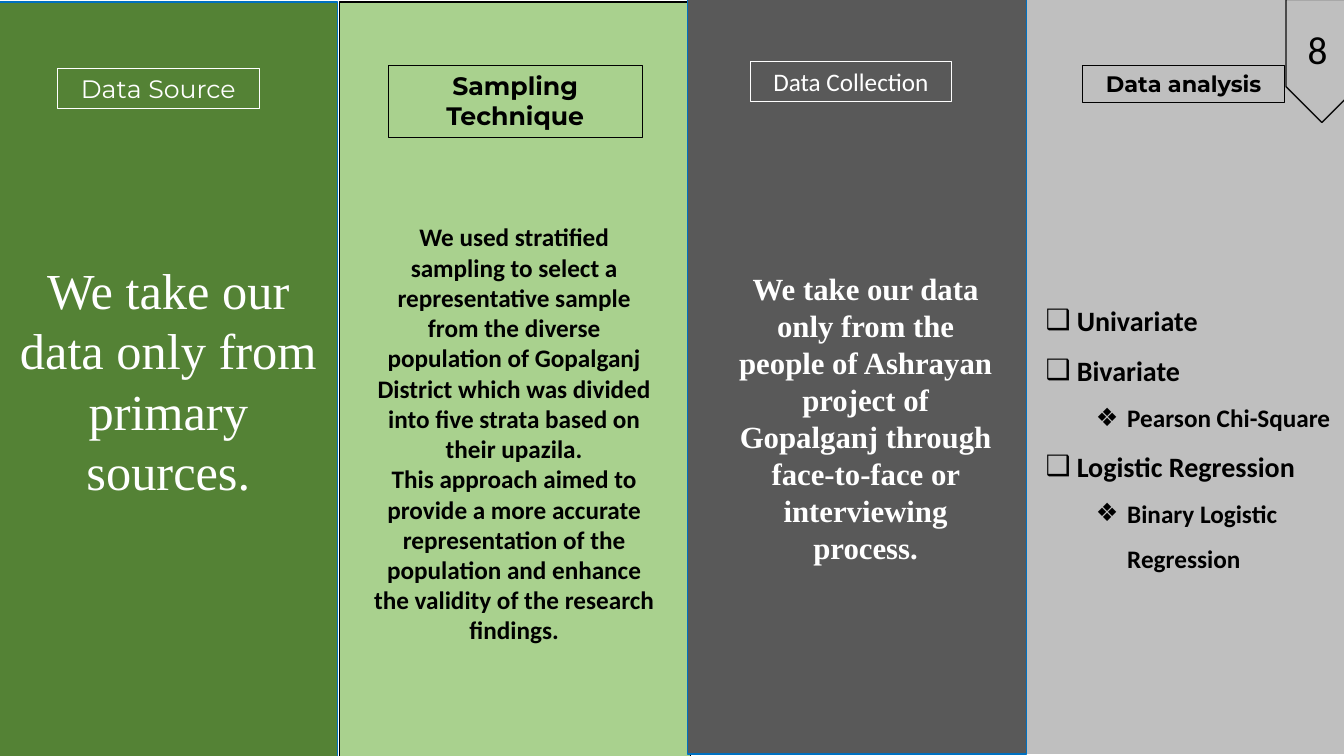
from dataclasses import dataclass

from lxml import etree
from pptx import Presentation
from pptx.dml.color import RGBColor
from pptx.enum import shapes, text
from pptx.oxml.ns import qn
from pptx.util import Inches, Pt


@dataclass(frozen=True)
class Theme:
    dark_green: str = "548235"
    light_green: str = "A9D18E"
    dark_grey: str = "595959"
    light_grey: str = "BFBFBF"
    blue: str = "0070C0"
    white: str = "FFFFFF"
    black: str = "000000"
    badge_line: str = "0D0D0D"
    sans: str = "Calibri"
    display: str = "Montserrat"
    serif: str = "Times New Roman"
    small: int = 16
    normal: int = 18
    list_item: int = 20
    quote: int = 22
    number: int = 28
    statement: int = 36


THEME = Theme()


def write(shape, paragraphs, size=THEME.normal, font=THEME.sans, color=THEME.black,
          bold=False, align=text.PP_ALIGN.CENTER, anchor=text.MSO_ANCHOR.TOP,
          auto_size=text.MSO_AUTO_SIZE.NONE, wrap=True):
    """Fill a shape with paragraphs that share one format."""
    frame = shape.text_frame
    frame.text = "\n".join(paragraphs)
    frame.word_wrap = wrap
    frame.auto_size = auto_size
    frame.vertical_anchor = anchor
    for paragraph in frame.paragraphs:
        paragraph.alignment = align
        font_format = paragraph.runs[0].font
        font_format.name = font
        font_format.size = Pt(size)
        font_format.bold = bold
        font_format.color.rgb = RGBColor.from_string(color)


def add_box(slide, box, fill=None, line=None, line_width=1, kind=shapes.MSO_SHAPE.RECTANGLE):
    shape = slide.shapes.add_shape(kind, *map(Inches, box))
    shape.shadow.inherit = False
    if fill:
        shape.fill.solid()
        shape.fill.fore_color.rgb = RGBColor.from_string(fill)
    else:
        shape.fill.background()
    if line:
        shape.line.color.rgb = RGBColor.from_string(line)
        shape.line.width = Pt(line_width)
    else:
        shape.line.fill.background()
    return shape


def add_heading(slide, box, label, fill, color, **text_format):
    heading = add_box(slide, box, fill, color, line_width=0.75)
    write(heading, [label], color=color,
          auto_size=text.MSO_AUTO_SIZE.SHAPE_TO_FIT_TEXT, **text_format)


def add_text(slide, box, paragraphs, **text_format):
    write(slide.shapes.add_textbox(*map(Inches, box)), paragraphs, **text_format)


def set_bullet(paragraph, character, left, hanging):
    properties = paragraph._p.get_or_add_pPr()
    properties.set("marL", str(Inches(left)))
    properties.set("indent", str(-Inches(hanging)))
    etree.SubElement(properties, qn("a:buChar")).set("char", character)


def fill_method_list(placeholder, box, items):
    """Place the body list in front of the panels and format its two levels."""
    placeholder._element.getparent().append(placeholder._element)
    placeholder.left, placeholder.top, placeholder.width, placeholder.height = map(Inches, box)
    write(placeholder, [label for _, label in items], bold=True, align=text.PP_ALIGN.LEFT)
    for paragraph, (level, _) in zip(placeholder.text_frame.paragraphs, items):
        paragraph.level = level
        paragraph.line_spacing = 1.5
        paragraph.space_before = Pt(0)
        paragraph.runs[0].font.size = Pt(THEME.normal if level else THEME.list_item)
        set_bullet(paragraph, "❖" if level else "❑", 0.31 + 0.5 * level, 0.31)


def add_page_badge(slide, number):
    badge = add_box(slide, (12.5, 0.25, 1.22, 0.71), line=THEME.badge_line,
                    kind=shapes.MSO_SHAPE.PENTAGON)
    badge.rotation = 90
    add_text(slide, (12.87, 0.2, 0.47, 0.57), [number], size=THEME.number,
             align=text.PP_ALIGN.LEFT)


def main():
    presentation = Presentation()
    presentation.slide_width, presentation.slide_height = Inches(13.33), Inches(7.5)
    slide = presentation.slides.add_slide(presentation.slide_layouts[1])
    title, method_list = slide.placeholders
    title._element.getparent().remove(title._element)

    # Data analysis
    add_box(slide, (10.18, -0.02, 3.15, 7.5), THEME.light_grey)
    add_heading(slide, (10.74, 0.65, 2, 0.37), "Data analysis", THEME.light_grey, THEME.black,
                size=THEME.small, font=THEME.display, bold=True)

    # Sampling technique
    add_box(slide, (3.37, 0.02, 3.48, 7.5), THEME.light_green, THEME.black)
    add_heading(slide, (3.85, 0.65, 2.52, 0.71), "Sampling Technique", THEME.light_green,
                THEME.black, font=THEME.display, bold=True)

    # Data source
    source = add_box(slide, (-0.01, 0.02, 3.36, 7.5), THEME.dark_green, THEME.blue)
    write(source, ["We take our data only from primary sources."], size=THEME.statement,
          font=THEME.serif, color=THEME.white, anchor=text.MSO_ANCHOR.MIDDLE)
    add_heading(slide, (0.57, 0.68, 2, 0.4), "Data Source", THEME.dark_green, THEME.white,
                font=THEME.display)

    add_text(slide, (3.58, 2.15, 3.04, 4.34), [
        "We used stratified sampling to select a representative sample from the diverse "
        "population of Gopalganj District which was divided into five strata based on "
        "their upazila.",
        "This approach aimed to provide a more accurate representation of the population "
        "and enhance the validity of the research findings.",
    ], bold=True)

    # Data collection
    add_box(slide, (6.82, -0.02, 3.36, 7.5), THEME.dark_grey, THEME.blue)
    add_heading(slide, (7.44, 0.61, 2, 0.4), "Data Collection", THEME.dark_grey, THEME.white)
    add_text(slide, (7.21, 2.63, 2.75, 3.06), [
        "We take our data only from the people of Ashrayan project of Gopalganj through "
        "face-to-face or interviewing process.",
    ], size=THEME.quote, font=THEME.serif, color=THEME.white, bold=True)

    fill_method_list(method_list, (10.27, 2.79, 3.06, 3), [
        (0, "Univariate"),
        (0, "Bivariate"),
        (1, "Pearson Chi-Square"),
        (0, "Logistic Regression"),
        (1, "Binary Logistic Regression"),
    ])
    add_page_badge(slide, "8")
    presentation.save("out.pptx")


if __name__ == "__main__":
    main()
